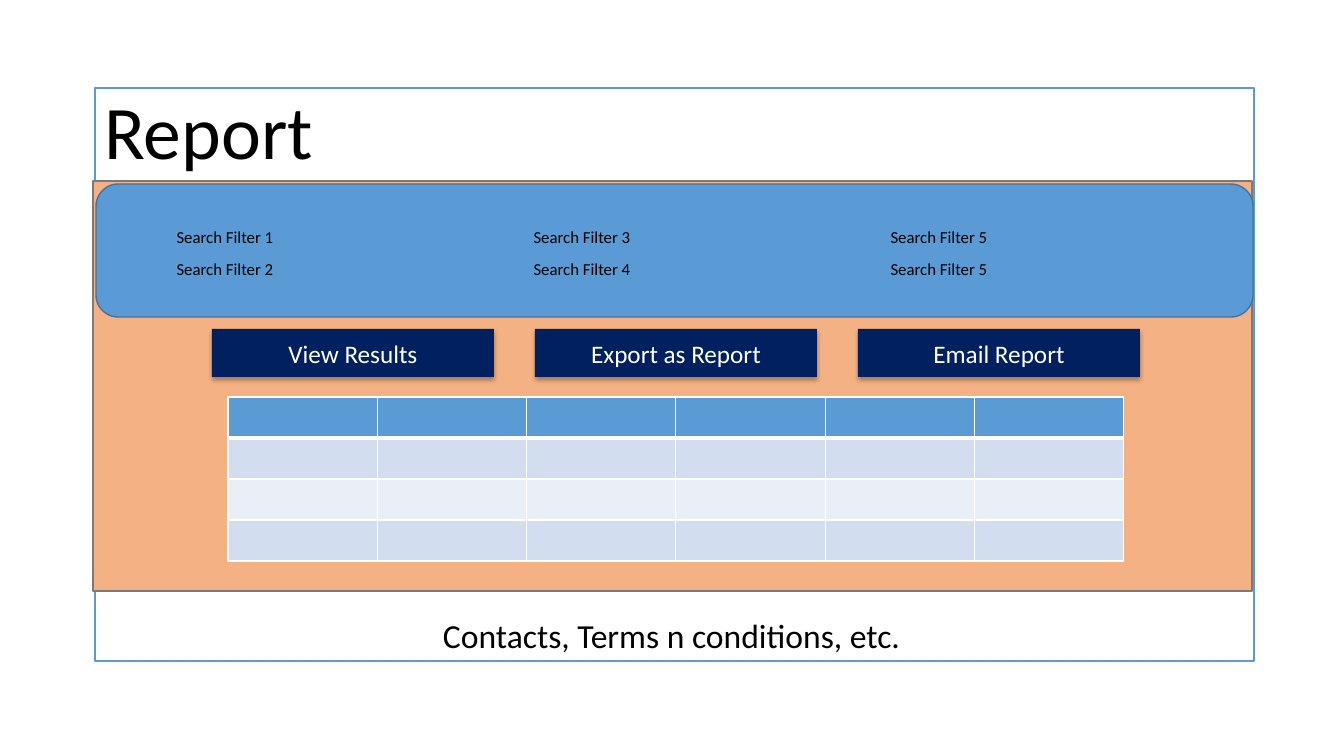
from lxml import etree
from pptx import Presentation
from pptx import util as u
from pptx.dml.color import RGBColor
from pptx.enum import shapes, text
from pptx.oxml import ns

PIXEL = 914400 / 100.8
COLORS = {
    "white": "FFFFFF", "black": "000000", "blue": "5B9BD5", "blue edge": "43739E",
    "orange": "F4B183", "gray": "7A7A7A", "navy": "002060",
    "band dark": "D2DEEF", "band light": "EAEFF7",
}


def px(*lengths):
    return [u.Emu(round(length * PIXEL)) for length in lengths]


def add_box(parent, words="", *, at, kind=None, fill=None, line=None,
            size=18, color="black", wrap=True):
    """Add a filled shape, or a text box when no kind is given."""
    if kind is None:
        box = parent.add_textbox(*px(*at))
    else:
        box = parent.add_shape(kind, *px(*at))
        box.shadow.inherit = False
        box.fill.solid()
        box.fill.fore_color.rgb = RGBColor.from_string(COLORS[fill])
        if line:
            box.line.color.rgb = RGBColor.from_string(COLORS[line])
            box.line.width = u.Pt(1)
        else:
            box.line.fill.background()
    if words:
        frame = box.text_frame
        frame.word_wrap = wrap
        if kind is None:
            frame.auto_size = text.MSO_AUTO_SIZE.SHAPE_TO_FIT_TEXT
        else:
            frame.vertical_anchor = text.MSO_ANCHOR.MIDDLE
        para = frame.paragraphs[0]
        para.alignment = text.PP_ALIGN.CENTER
        span = para.add_run()
        span.text = words
        span.font.name = "Calibri"
        span.font.size = u.Pt(size)
        span.font.color.rgb = RGBColor.from_string(COLORS[color])
    return box


deck = Presentation()
deck.slide_width, deck.slide_height = px(1344, 756)
page = deck.slides.add_slide(deck.slide_layouts[6])
RECT = shapes.MSO_SHAPE.RECTANGLE

# Page frame with title, body and footer
layout = page.shapes.add_group_shape().shapes
add_box(layout, at=(95, 88, 1159, 573), kind=RECT, fill="white", line="blue")
add_box(layout, at=(93, 181, 1159, 410), kind=RECT, fill="orange", line="gray")
add_box(layout, "Report", at=(93, 79, 231, 102), size=54, wrap=False)
add_box(layout, "Contacts, Terms n conditions, etc.", at=(91, 610, 1161, 50), size=24)

# Search filters, two in each column
add_box(page.shapes, at=(96, 184, 1157, 133), kind=shapes.MSO_SHAPE.ROUNDED_RECTANGLE,
        fill="blue", line="blue edge")
for index, number in enumerate([1, 2, 3, 4, 5, 5]):
    column, row = divmod(index, 2)
    add_box(page.shapes, f"Search Filter {number}", size=12,
            at=(165 + 357 * column, 222 + 32 * row, 120, 30))

# Action buttons with a soft shadow below
for index, label in enumerate(["View Results", "Export as Report", "Email Report"]):
    button = add_box(page.shapes, label, at=(212 + 323 * index, 329, 282, 48),
                     kind=RECT, fill="navy", color="white")
    effects = button._element.spPr.find(ns.qn("a:effectLst"))
    shadow = etree.SubElement(effects, ns.qn("a:outerShdw"), blurRad=str(u.Pt(3.5)),
                              dist=str(u.Pt(2.2)), dir="5400000", rotWithShape="0")
    tint = etree.SubElement(shadow, ns.qn("a:srgbClr"), val=COLORS["black"])
    etree.SubElement(tint, ns.qn("a:alpha"), val="32000")

# Empty results table
results = page.shapes.add_table(4, 6, *px(228, 397, 896, 164)).table
for row, band in enumerate(["blue", "band dark", "band light", "band dark"]):
    for cell in results.rows[row].cells:
        properties = cell._tc.get_or_add_tcPr()
        for side in "LRTB":
            thick = (row, side) in [(0, "B"), (1, "T")]
            border = etree.SubElement(properties, ns.qn(f"a:ln{side}"),
                                      w=str(u.Pt(3 if thick else 1)))
            paint = etree.SubElement(border, ns.qn("a:solidFill"))
            etree.SubElement(paint, ns.qn("a:srgbClr"), val=COLORS["white"])
        cell.fill.solid()
        cell.fill.fore_color.rgb = RGBColor.from_string(COLORS[band])

deck.save("out.pptx")
